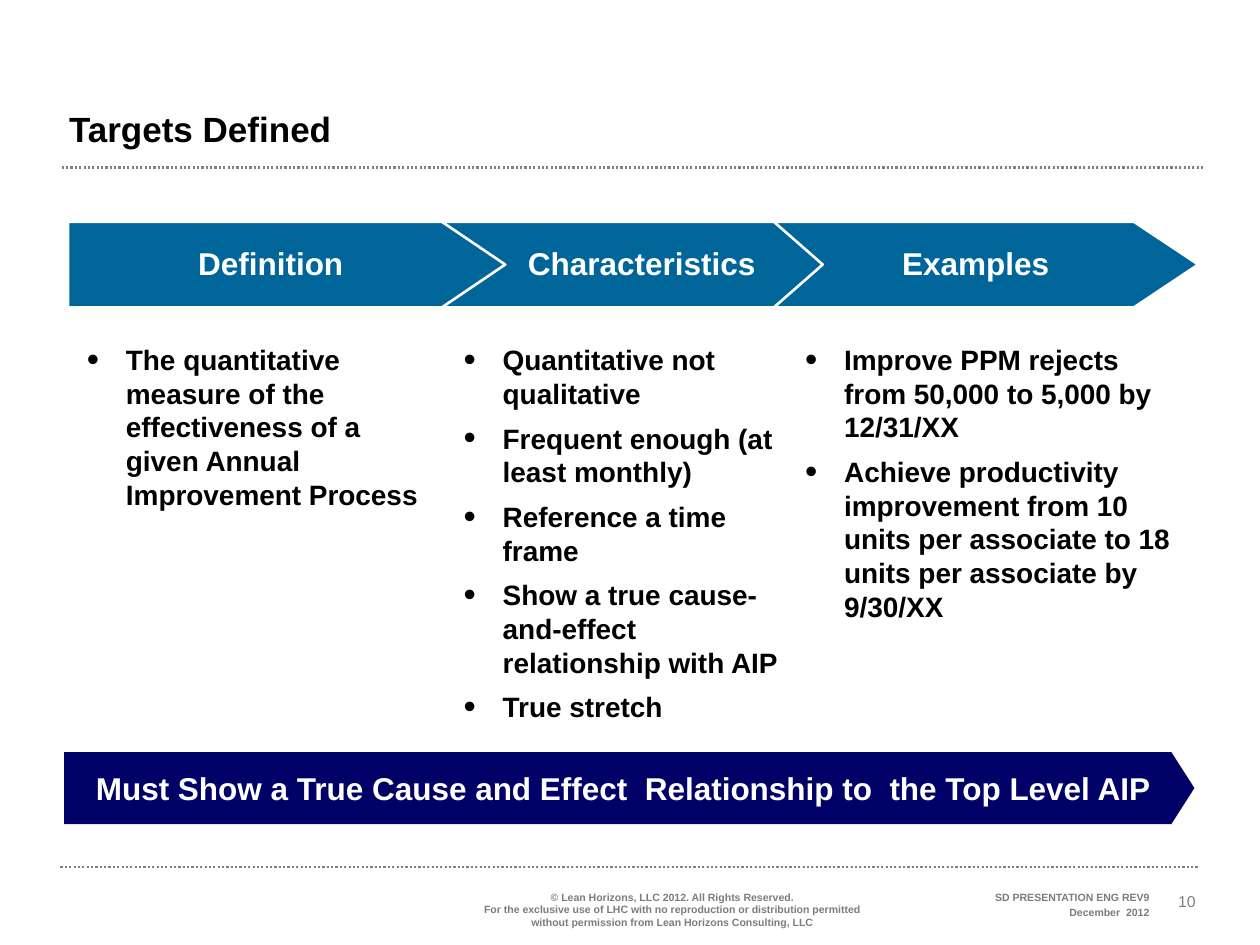
import copy

from pptx import Presentation, util as u
from pptx.dml.color import RGBColor
from pptx.enum import dml, shapes, text
from pptx.oxml.ns import qn
from lxml import etree

SCALE = 9144  # EMU in one px, 100 px to the inch
FONT = "Arial"
BLACK, WHITE, GREY, FOOTER_GREY = "000000", "FFFFFF", "808080", "7C7C7C"
BLUE, NAVY = "006699", "000066"
LEFT, CENTER, RIGHT = text.PP_ALIGN.LEFT, text.PP_ALIGN.CENTER, text.PP_ALIGN.RIGHT
TOP, MIDDLE, BOTTOM = text.MSO_ANCHOR.TOP, text.MSO_ANCHOR.MIDDLE, text.MSO_ANCHOR.BOTTOM


def px(length):
    return u.Emu(length * SCALE)


def color(hex_string):
    return RGBColor.from_string(hex_string)


def add_bullet(paragraph, indent):
    properties = paragraph._p.get_or_add_pPr()
    properties.set("marL", str(px(indent)))
    properties.set("indent", str(-px(indent)))
    etree.SubElement(properties, qn("a:buSzPct"), val="125000")
    etree.SubElement(properties, qn("a:buFont"), typeface=FONT)
    etree.SubElement(properties, qn("a:buChar"), char="•")


def write(shape, lines, size=18, fill=BLACK, bold=True, align=LEFT, anchor=TOP,
          margins=(10, 5, 10, 5), wrap=True, line_spacing=None, gap=0, bullet_indent=0):
    """Fill a shape with one paragraph per line; gap is points between paragraphs."""
    frame = shape.text_frame
    frame.word_wrap = wrap
    frame.vertical_anchor = anchor
    (frame.margin_left, frame.margin_top,
     frame.margin_right, frame.margin_bottom) = map(px, margins)
    for index, line in enumerate(lines):
        paragraph = frame.add_paragraph() if index else frame.paragraphs[0]
        paragraph.text = line
        if bullet_indent:
            add_bullet(paragraph, bullet_indent)
        paragraph.alignment = align
        if line_spacing:
            paragraph.line_spacing = line_spacing
        if index and gap:
            paragraph.space_before = u.Pt(gap)
        for run in paragraph.runs:
            run.font.name = FONT
            run.font.size = u.Pt(size)
            run.font.bold = bold
            run.font.color.rgb = color(fill)
        # Line breaks take the size of the text around them
        for line_break in paragraph._p.findall(qn("a:br")):
            line_break.insert(0, copy.deepcopy(paragraph.runs[0]._r.rPr))


def add_text(slide, box, lines, **text_format):
    write(slide.shapes.add_textbox(*map(px, box)), lines, **text_format)


def add_dotted_rule(slide, left, top, width):
    rule = slide.shapes.add_connector(
        shapes.MSO_CONNECTOR.STRAIGHT, px(left), px(top), px(left + width), px(top))
    rule.line.color.rgb = color(GREY)
    rule.line.width = u.Pt(1.25)
    rule.line.dash_style = dml.MSO_LINE.ROUND_DOT
    etree.SubElement(rule._element.spPr, qn("a:effectLst"))


def add_arrow(slide, box, label, fill, point, outline=None, **text_format):
    """Draw a pentagon arrow; point is the tip's length as a share of the height."""
    arrow = slide.shapes.add_shape(shapes.MSO_SHAPE.PENTAGON, *map(px, box))
    arrow.shadow.inherit = False
    arrow.adjustments[0] = point
    arrow.fill.solid()
    arrow.fill.fore_color.rgb = color(fill)
    if outline:
        arrow.line.color.rgb = color(outline)
        arrow.line.width = u.Pt(1.5)
    else:
        arrow.line.fill.background()
    write(arrow, [label], fill=WHITE, anchor=MIDDLE, **text_format)


def add_header(slide, left, top, width, height):
    add_text(slide, (left, top, width, height), ["Targets Defined"],
             size=20, anchor=MIDDLE, line_spacing=0.8)
    add_dotted_rule(slide, left + 4, top + 56, width)


def add_heading_arrows(slide, left, top, height):
    # Right to left, so that each tip overlaps the next arrow
    headings = [
        ("Examples", 553, 344, 0.75, LEFT, 109),
        ("Characteristics", 299, 300, 0.57, CENTER, 37),
        ("Definition", 0, 347, 0.74, CENTER, 5),
    ]
    for label, offset, width, point, align, margin in headings:
        add_arrow(slide, (left + offset, top, width, height), label, BLUE, point,
                  outline=WHITE, align=align, margins=(margin, 5, 5, 5),
                  line_spacing=0.95)


def add_columns(slide, left, top, height):
    columns = [
        (0, 289, ["The quantitative measure of the effectiveness of a given "
                  "Annual Improvement Process"]),
        (299, 279, ["Quantitative not qualitative",
                    "Frequent enough (at least monthly)",
                    "Reference a time frame",
                    "Show a true cause-and-effect relationship with AIP",
                    "True stretch"]),
        (570, 312, ["Improve PPM rejects from 50,000 to 5,000 by 12/31/XX",
                    "Achieve productivity improvement from 10 units per associate "
                    "to 18 units per associate by 9/30/XX"]),
    ]
    for offset, width, points in columns:
        add_text(slide, (left + offset, top, width, height), points, size=16,
                 margins=(8, 4, 8, 4), gap=6.4, bullet_indent=31)


def add_footer(slide, left, top, width):
    add_dotted_rule(slide, left, top, width)
    add_text(slide, (left + 312, top + 14, 347, 40),
             ["© Lean Horizons, LLC 2012. All Rights Reserved.\v"
              "For the exclusive use of LHC with no reproduction or distribution "
              "permitted without permission from Lean Horizons Consulting, LLC"],
             size=6, fill=FOOTER_GREY, align=CENTER)
    add_text(slide, (left + 675, top + 14, 199, 33),
             ["SD PRESENTATION ENG REV9", "December  2012"],
             size=6, fill=FOOTER_GREY, align=RIGHT, gap=1.8)
    add_text(slide, (left + 868, top, 52, 40), ["10"],
             size=9, fill=GREY, bold=False, align=CENTER, anchor=BOTTOM)


def main():
    presentation = Presentation()
    presentation.slide_width, presentation.slide_height = px(1000), px(750)
    slide = presentation.slides.add_slide(presentation.slide_layouts[6])

    add_header(slide, 45, 77, 907, 57)
    add_columns(slide, 61, 268, 275)
    add_heading_arrows(slide, 54, 176, 68)
    # Closing message
    add_arrow(slide, (51, 597, 897, 57),
              "Must Show a True Cause and Effect  Relationship to  the Top Level AIP",
              NAVY, 0.32, align=CENTER, wrap=False)
    add_footer(slide, 48, 688, 904)

    presentation.save("out.pptx")


if __name__ == "__main__":
    main()
